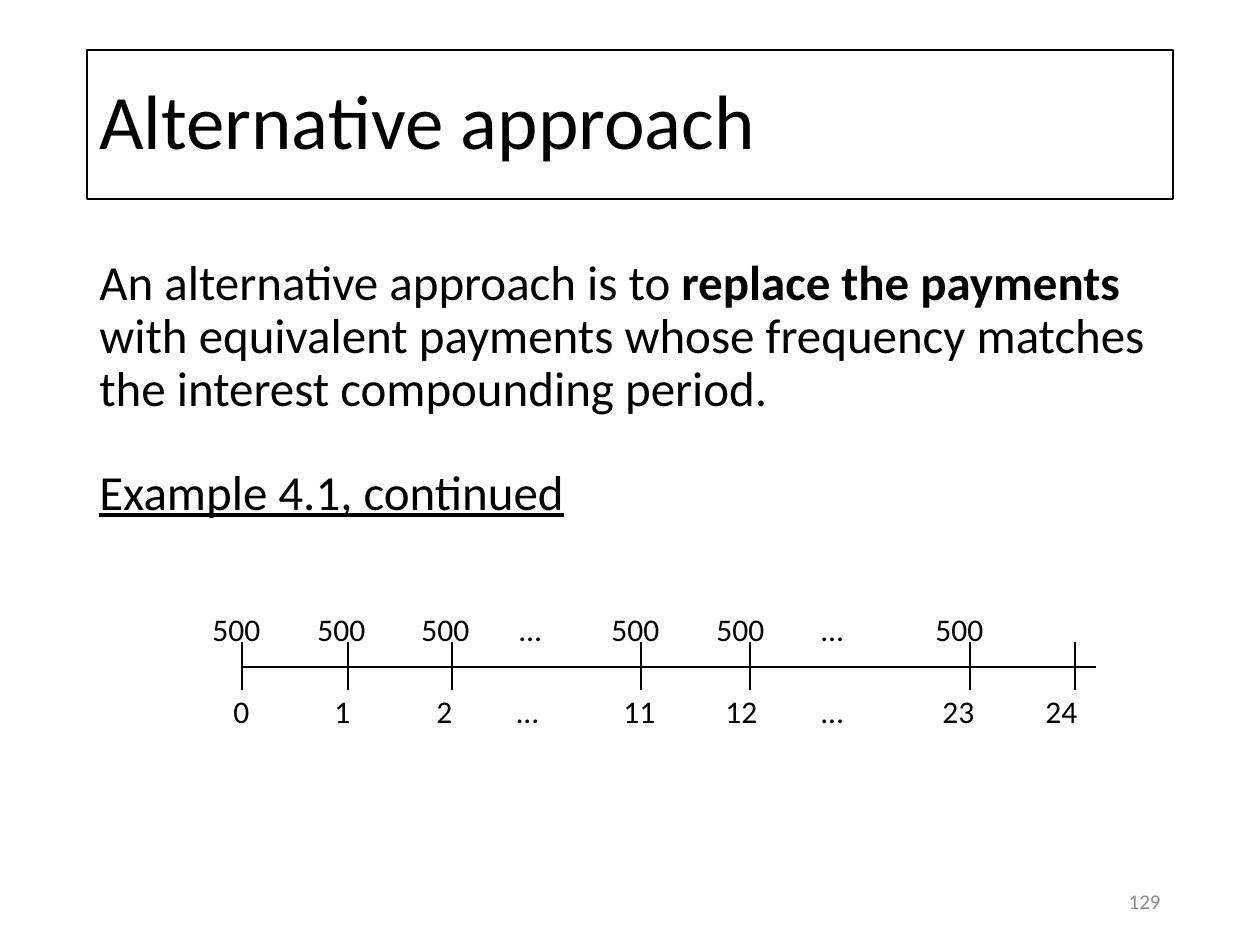
from dataclasses import dataclass

from lxml.etree import SubElement
from pptx import Presentation
from pptx.dml.color import RGBColor as Color
from pptx.enum.shapes import MSO_CONNECTOR as Connector, MSO_SHAPE as Shape
from pptx.enum.text import MSO_ANCHOR as Anchor, PP_ALIGN as Align
from pptx.oxml.ns import qn
from pptx.util import Emu, Pt


@dataclass(frozen=True)
class Theme:
    """Colours, font and type sizes of the deck."""
    font: str = "Calibri"
    ink: str = "000000"
    muted: str = "8C8C8C"
    title: int = 44
    body: int = 28
    label: int = 18
    footer: int = 12


def px(length):
    """Turn pixels into EMU at 126 pixels to the inch."""
    return Emu(round(length * 914400 / 126))


def write(para, text, *, font, size, color, bold=False, underline=False):
    """Add a formatted span of text to a paragraph."""
    span = para.add_run()
    span.text = text
    span.font.name = font
    span.font.size = Pt(size)
    span.font.bold = bold
    span.font.underline = underline
    span.font.color.rgb = Color.from_string(color)


class SlideBuilder:
    """Draw styled elements on the current slide."""

    def __init__(self, page, theme):
        """Keep the page and its theme."""
        self.page = page
        self.theme = theme

    def span(self, para, text, size, color=None, **style):
        """Write text in the theme's font and ink."""
        write(para, text, font=self.theme.font, size=size,
              color=color or self.theme.ink, **style)

    def title(self, text, left, top, width, height):
        """Draw the framed slide title."""
        box = self.page.shapes.add_shape(
            Shape.RECTANGLE, px(left), px(top), px(width), px(height))
        box.shadow.inherit = False
        box.fill.background()
        box.line.color.rgb = Color.from_string(self.theme.ink)
        box.line.width = Pt(0.75)
        box.text_frame.vertical_anchor = Anchor.MIDDLE
        para = box.text_frame.paragraphs[0]
        para.alignment = Align.LEFT
        para.line_spacing = 0.9
        self.span(para, text, self.theme.title)

    def text_box(self, left, top, width, height, anchor=Anchor.TOP):
        """Add a wrapping text box and return its frame."""
        box = self.page.shapes.add_textbox(px(left), px(top), px(width), px(height))
        box.text_frame.word_wrap = True
        box.text_frame.vertical_anchor = anchor
        return box.text_frame

    def page_number(self, text, left, top, width, height):
        """Write the page number at the right."""
        para = self.text_box(left, top, width, height, Anchor.MIDDLE).paragraphs[0]
        para.alignment = Align.RIGHT
        self.span(para, text, self.theme.footer, self.theme.muted)

    def label_row(self, frame, labels, origin, before, after=0, spacing=0.9):
        """Add a paragraph of labels centred on tab stops."""
        para = frame.add_paragraph()
        tabs = SubElement(para._p.get_or_add_pPr(), qn("a:tabLst"))
        for center, _ in labels:
            SubElement(tabs, qn("a:tab"), pos=str(px(center - origin)), algn="ctr")
        para.line_spacing = spacing
        para.space_before = Pt(before)
        para.space_after = Pt(after)
        self.span(para, "".join(f"\t{text}" for _, text in labels), self.theme.label)

    def line(self, x1, y1, x2, y2):
        """Draw a straight line."""
        line = self.page.shapes.add_connector(
            Connector.STRAIGHT, px(x1), px(y1), px(x2), px(y2))
        line.line.color.rgb = Color.from_string(self.theme.ink)
        line.line.width = Pt(1)
        SubElement(line._element.spPr, qn("a:effectLst"))

    def timeline(self, start, end, axis, ticks):
        """Draw an axis with tick marks."""
        self.line(start, axis, end, axis)
        for x in ticks:
            self.line(x, axis - 25, x, axis + 23)


def main():
    """Build and save the slide."""
    deck = Presentation()
    deck.slide_width, deck.slide_height = px(1260), px(945)
    theme = Theme()
    slide = SlideBuilder(deck.slides.add_slide(deck.slide_layouts[6]), theme)

    slide.title("Alternative approach", 87, 50, 1086, 149)
    slide.page_number("129", 890, 876, 283, 50)

    frame = slide.text_box(87, 252, 1086, 600)
    intro = frame.paragraphs[0]
    intro.line_spacing = 0.9
    slide.span(intro, "An alternative approach is to ", theme.body)
    slide.span(intro, "replace the payments ", theme.body, bold=True)
    slide.span(intro, "with equivalent payments whose frequency matches "
               "the interest compounding period.", theme.body)
    example = frame.add_paragraph()
    example.line_spacing = 0.9
    example.space_before = Pt(29)
    slide.span(example, "Example 4.1, continued", theme.body, underline=True)

    centers = (237, 342, 446, 531, 636, 741, 833, 960)
    payments = ("500", "500", "500", "…", "500", "500", "…", "500")
    slide.label_row(frame, list(zip(centers, payments)), 100, before=51, after=18,
                    spacing=1.0)
    centers = (242, 343, 445, 528, 640, 742, 833, 959, 1062)
    periods = ("0", "1", "2", "…", "11", "12", "…", "23", "24")
    slide.label_row(frame, list(zip(centers, periods)), 100, before=10)

    slide.timeline(242, 1096, 667, (242, 348, 452, 641, 750, 970, 1075))
    deck.save("out.pptx")


if __name__ == "__main__":
    main()
